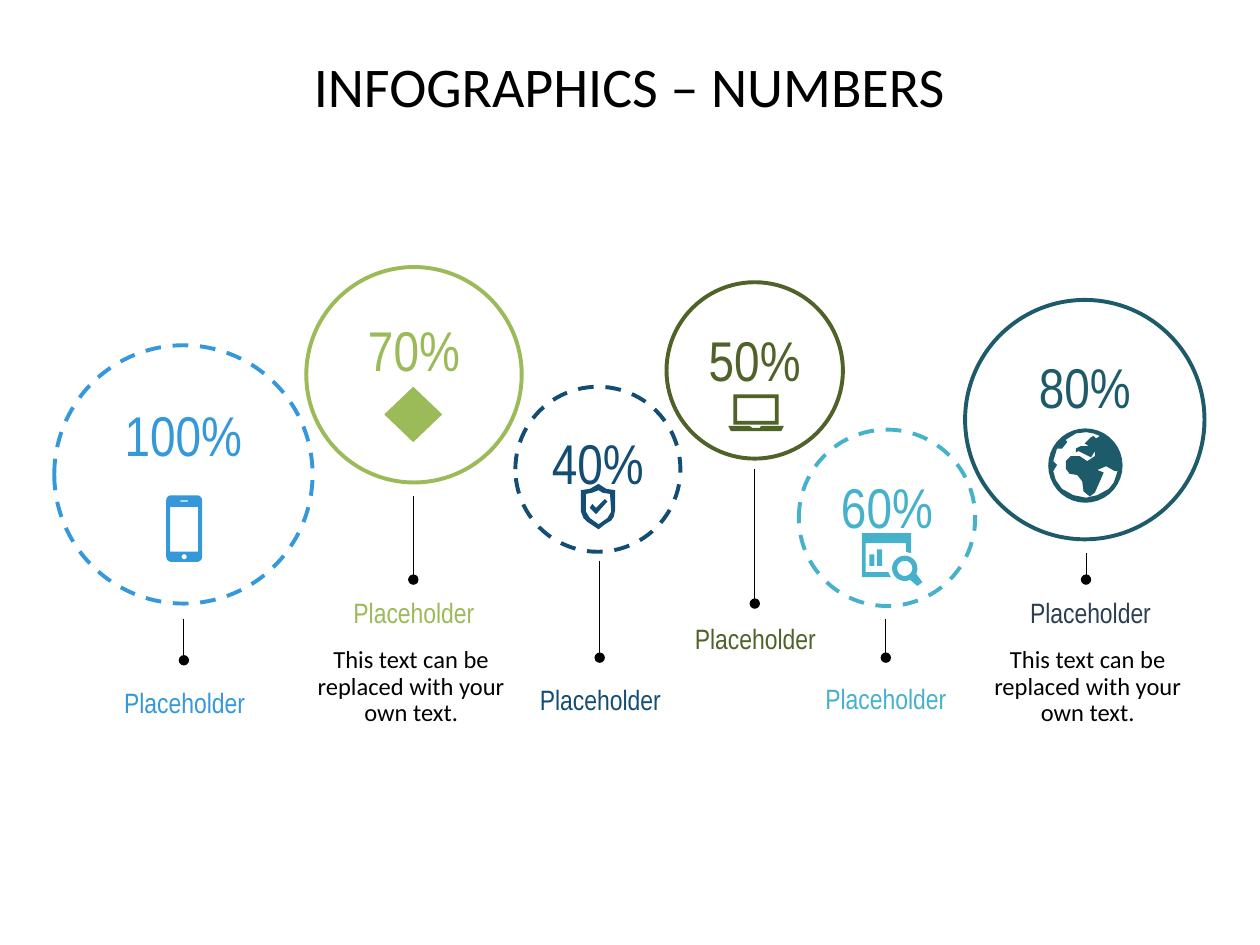
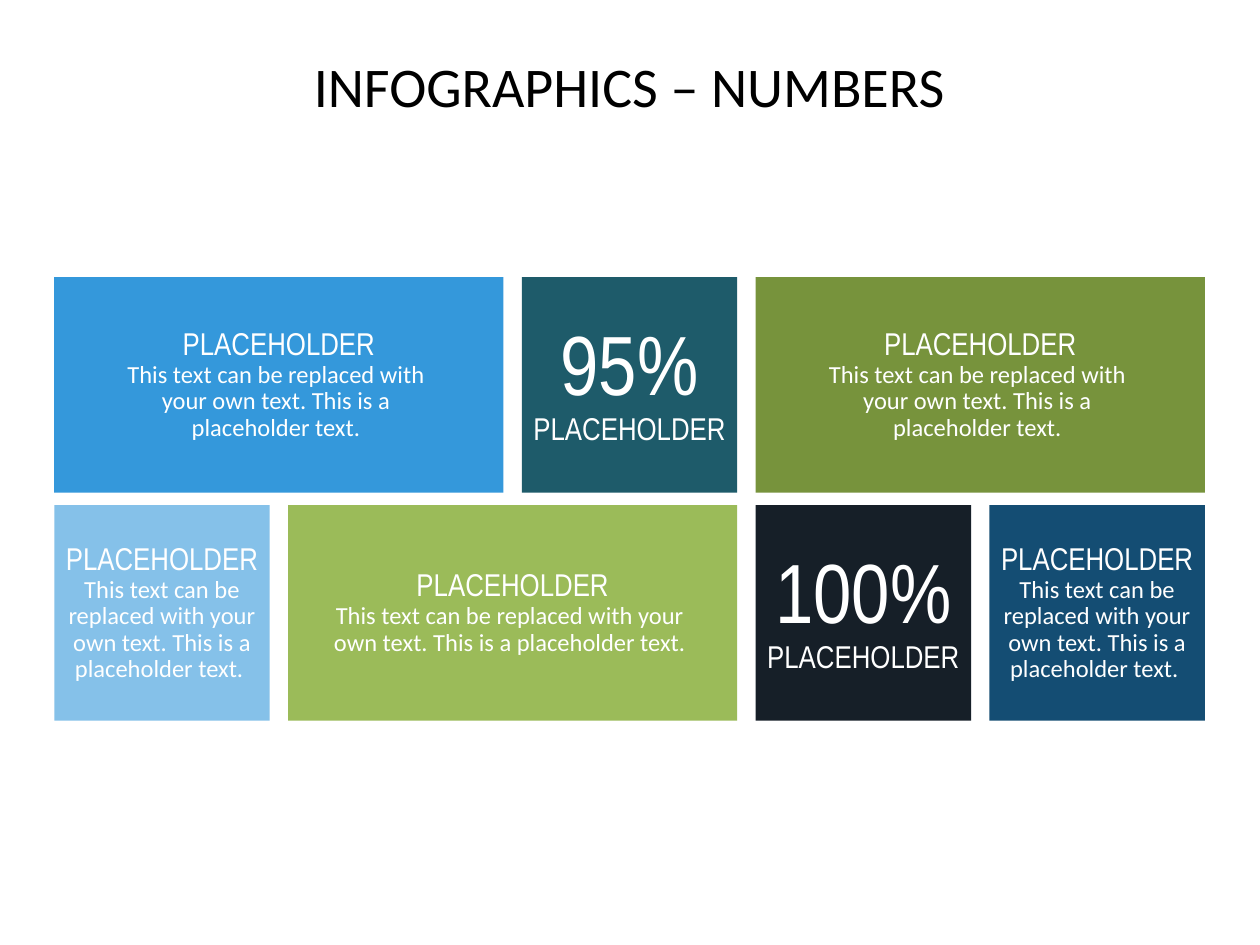
from copy import deepcopy
from math import cos, radians, sin

from lxml import etree
from pptx import Presentation
from pptx.dml.color import RGBColor
from pptx.enum.dml import MSO_LINE
from pptx.enum.shapes import MSO_CONNECTOR, MSO_SHAPE
from pptx.enum.text import MSO_ANCHOR, PP_ALIGN
from pptx.oxml.ns import qn
from pptx.util import Pt

OVAL, RECT, DIAMOND = MSO_SHAPE.OVAL, MSO_SHAPE.RECTANGLE, MSO_SHAPE.DIAMOND
STRAIGHT, DASH = MSO_CONNECTOR.STRAIGHT, MSO_LINE.DASH
CENTER, TOP, MIDDLE = PP_ALIGN.CENTER, MSO_ANCHOR.TOP, MSO_ANCHOR.MIDDLE

BLACK = RGBColor(0x00, 0x00, 0x00)
WHITE = RGBColor(0xFF, 0xFF, 0xFF)
BLUE = RGBColor(0x34, 0x98, 0xDB)
LIGHT_BLUE = RGBColor(0x85, 0xC1, 0xE9)
NAVY = RGBColor(0x14, 0x4D, 0x73)
TEAL = RGBColor(0x1E, 0x5B, 0x6A)
AQUA = RGBColor(0x45, 0xB1, 0xCB)
GREEN = RGBColor(0x9B, 0xBB, 0x59)
OLIVE = RGBColor(0x77, 0x93, 0x3C)
DARK_OLIVE = RGBColor(0x4F, 0x62, 0x28)
SLATE = RGBColor(0x2C, 0x3E, 0x50)
INK = RGBColor(0x16, 0x1F, 0x28)

NARROW, BODY = "Arial Narrow", "Calibri"
TITLE = "INFOGRAPHICS – NUMBERS"


def points(box):
    return [Pt(v) for v in box]


def write(tf, paragraphs, insets, anchor=TOP, spacing=0.9):
    """Fill a frame; each paragraph is a list of (text, size, font, colour)."""
    tf.word_wrap = True
    tf.vertical_anchor = anchor
    (tf.margin_left, tf.margin_top,
     tf.margin_right, tf.margin_bottom) = points(insets)
    for i, runs in enumerate(paragraphs):
        p = tf.add_paragraph() if i else tf.paragraphs[0]
        p.alignment, p.line_spacing = CENTER, spacing
        p.space_before, p.space_after = Pt(0), Pt(10)
        for text, size, font, color in runs:
            for j, line in enumerate(text.split("\n")):
                if j:
                    p.add_line_break()
                    p._p[-1].append(deepcopy(r._r.rPr))
                if line or not j:
                    r = p.add_run()
                    r.text = line
                    r.font.size, r.font.name = Pt(size), font
                    r.font.color.rgb = color


def add_text(s, box, paragraphs, insets=(0, 0, 0, 0)):
    write(s.shapes.add_textbox(*points(box)).text_frame, paragraphs, insets)


def add_filled(s, kind, box, color):
    sp = s.shapes.add_shape(kind, *points(box))
    sp.shadow.inherit = False
    sp.fill.solid()
    sp.fill.fore_color.rgb = color
    sp.line.fill.background()
    return sp


def add_slide(prs):
    s = prs.slides.add_slide(prs.slide_layouts[6])
    add_text(s, (31, 33.8, 657.4, 85), [[(TITLE, 32, BODY, BLACK)]])
    return s


# Icon outlines; a contour inside another one cuts a hole.
def rect(x1, y1, x2, y2):
    return [(x1, y1), (x2, y1), (x2, y2), (x1, y2)]


def arc(cx, cy, radius, start=0, end=360, steps=36):
    angles = [radians(start + (end - start) * i / steps)
              for i in range(steps + 1)]
    return [(cx + radius * cos(a), cy + radius * sin(a)) for a in angles]


def rounded(w, h, radius):
    corners = [(w - radius, h - radius, 0), (radius, h - radius, 90),
               (radius, radius, 180), (w - radius, radius, 270)]
    return [pt for cx, cy, a in corners
            for pt in arc(cx, cy, radius, a, a + 90, 6)]


PHONE = (28, [rounded(28, 52, 4), rect(3, 9, 25, 44),
              arc(14, 48, 2), rect(11, 4, 17, 5)])
SHIELD = (27, [
    [(0, 5), (7, 4), (14, 0), (20, 4), (27, 5), (27, 21), (26, 26), (24, 29),
     (19, 32), (14, 36), (5, 30), (2, 27), (0, 22)],
    [(4, 8), (9, 7), (14, 5), (17, 7), (23, 8), (24, 22), (21, 27), (14, 32),
     (7, 27), (4, 22)],
    [(7, 19), (9, 16), (12, 19), (19, 12), (21, 14), (12, 24)]])
LAPTOP = (44, [
    rect(4, 0, 40, 24), rect(7, 3, 37, 21),
    [(0, 25), (17, 25), (19, 26.5), (25, 26.5), (26, 25), (44, 25), (42, 29),
     (2, 29)]])
REPORT = (48, [
    [(0, 0), (39, 0), (39, 16), (35, 15), (35, 8), (3, 8), (3, 31), (21, 31),
     (23, 35), (0, 35)],
    rect(6, 17, 10, 26), rect(12, 13, 16, 26),
    arc(34, 28, 10, 65, 385) + [(48, 39), (44, 42)], arc(34, 28, 6)])
GLOBE = (59, [
    arc(29.5, 29.5, 29.5),
    [(48, 48), (52, 43), (55, 34), (53, 34), (46, 30), (39, 33), (44, 35),
     (41, 42), (37, 51), (33, 54), (28, 50), (27, 42), (23, 37), (17, 36),
     (14, 32), (14, 26), (18, 22), (25, 22), (31, 26), (37, 22), (37, 18),
     (34, 23), (30, 21), (24, 18), (22, 19), (22, 16), (26, 14), (32, 14),
     (29, 12), (34, 7), (36, 6), (38, 8), (41, 6), (36, 4), (30, 3), (22, 4),
     (14, 9), (15, 11), (11, 16), (7, 16), (4, 26), (7, 29), (4, 34), (6, 41),
     (11, 48), (20, 53), (30, 55), (39, 53)]])


def add_icon(s, left, top, width, icon, color):
    grid, contours = icon
    unit = width / grid
    placed = [[(Pt(left + x * unit), Pt(top + y * unit)) for x, y in contour]
              for contour in contours]
    builder = s.shapes.build_freeform(*placed[0][0])
    for i, contour in enumerate(placed):
        if i:
            builder.move_to(*contour[0])
        builder.add_line_segments(contour[1:], close=True)
    sp = builder.convert_to_shape()
    sp.shadow.inherit = False
    sp.fill.solid()
    sp.fill.fore_color.rgb = color
    sp.line.fill.background()


def add_circle(s, left, top, size, number, color, dashed):
    sp = s.shapes.add_shape(OVAL, *points((left, top, size, size)))
    sp.shadow.inherit = False
    sp.fill.background()
    sp.line.color.rgb = color
    sp.line.width = Pt(2.25)
    if dashed:
        sp.line.dash_style = DASH
    write(sp.text_frame, [[(number, 32, NARROW, color)]], (0, 17.3, 0, 3.6),
          spacing=0.8)


def add_stem(s, x, top, bottom):
    """Thin vertical line that ends in a dot."""
    line = s.shapes.add_connector(STRAIGHT, *points((x, top, x, bottom)))
    line.line.color.rgb = BLACK
    line.line.width = Pt(0.5)
    etree.SubElement(line.line._get_or_add_ln(), qn("a:tailEnd"), type="oval")
    etree.SubElement(line._element.spPr, qn("a:effectLst"))


def add_label(s, box, color, body):
    paragraphs = [[("Placeholder", 16, NARROW, color)]]
    if body:
        paragraphs.append([(body, 14, BODY, BLACK)])
    add_text(s, box, paragraphs, (0, 11.5, 0, 0))


def circles_slide(prs):
    s = add_slide(prs)
    body = "This text can be \nreplaced with your \nown text. "
    # circle, number, colour, dashed, stem, label box, label colour, body
    items = [
        ((31, 197.3, 147.6), "100%", BLUE, True, (105.1, 353.5, 377.3),
         (50.4, 382.3, 110.2, 28), BLUE, ""),
        ((175, 152.6, 123.1), "70%", GREEN, False, (236.2, 283.7, 331.2),
         (179.3, 331.2, 114.5, 121.7), GREEN, body),
        ((294.5, 221, 94.3), "40%", NAVY, True, (342.7, 320.4, 375.8),
         (288, 380.9, 110.2, 28), NAVY, ""),
        ((380.9, 161.3, 100.8), "50%", DARK_OLIVE, False,
         (431.3, 267.8, 344.9), (396, 345.6, 71.3, 28), DARK_OLIVE, ""),
        ((456.5, 245.5, 100.8), "60%", AQUA, True, (506.2, 353.5, 375.8),
         (467.3, 380.2, 77.8, 28), AQUA, ""),
        ((551.5, 171.4, 136.8), "80%", TEAL, False, (620.6, 316.1, 331.2),
         (565.9, 331.2, 114.5, 129.6), SLATE, body),
    ]
    for circle, number, color, dashed, stem, box, label_color, text in items:
        add_circle(s, *circle, number, color, dashed)
        add_stem(s, *stem)
        add_label(s, box, label_color, text)
    add_icon(s, 95, 283, 20.5, PHONE, BLUE)
    add_filled(s, DIAMOND, (219.6, 221, 33.1, 31.7), GREEN)
    add_icon(s, 332, 276.5, 19.5, SHIELD, NAVY)
    add_icon(s, 416.2, 225.4, 31.7, LAPTOP, DARK_OLIVE)
    add_icon(s, 492.5, 304.6, 34.6, REPORT, AQUA)
    add_icon(s, 599, 244.8, 42.5, GLOBE, TEAL)


def tiles_slide(prs):
    s = add_slide(prs)
    left, top, side, column, row = 31, 158.4, 123.1, 133.6, 130.3
    three_lines = ("This text can be replaced with \nyour own text. "
                   "This is a \nplaceholder text. ")
    two_lines = ("This text can be replaced with your \n"
                 "own text. This is a placeholder text. ")
    flowing = ("This text can be replaced with your own text. "
               "This is a placeholder text. ")

    def heading(body):
        return [("PLACEHOLDER\n", 18, NARROW, WHITE), (body, 14, BODY, WHITE)]

    def figure(number):
        return [(number + "\n", 48, NARROW, WHITE),
                ("PLACEHOLDER", 18, NARROW, WHITE)]

    # row, first column, columns spanned, fill, text
    tiles = [
        (0, 0, 2, BLUE, heading(three_lines)),
        (0, 2, 1, TEAL, figure("95%")),
        (0, 3, 2, OLIVE, heading(three_lines)),
        (1, 0, 1, LIGHT_BLUE, heading(flowing)),
        (1, 1, 2, GREEN, heading(two_lines)),
        (1, 3, 1, INK, figure("100%")),
        (1, 4, 1, NAVY, heading(flowing)),
    ]
    for r, c, span, color, runs in tiles:
        box = (left + c * column, top + r * row,
               side + (span - 1) * column, side)
        sp = add_filled(s, RECT, box, color)
        write(sp.text_frame, [runs], (5.8, 5.8, 5.8, 5.8), MIDDLE)


def main():
    prs = Presentation()
    prs.slide_width, prs.slide_height = Pt(720), Pt(540)
    circles_slide(prs)
    tiles_slide(prs)
    prs.save("out.pptx")


if __name__ == "__main__":
    main()
